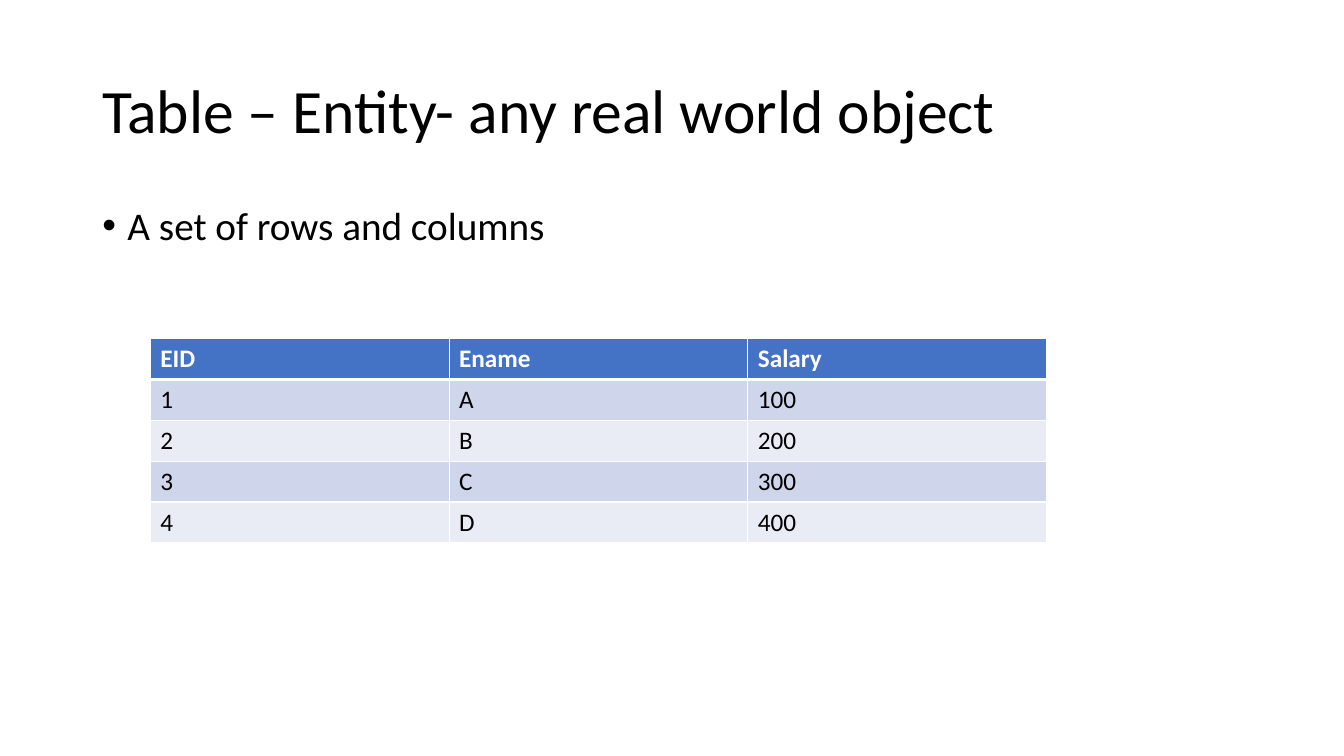
import pptx
import pptx.dml.color
import pptx.enum.text
import pptx.oxml.ns
import pptx.util
from dataclasses import dataclass
from lxml import etree


@dataclass(frozen=True)
class Theme:
    font: str = "Calibri"
    ink: str = "000000"
    paper: str = "FFFFFF"
    header: str = "4472C4"
    bands: tuple = ("CFD5EA", "E9EBF5")
    title_size: int = 44
    body_size: int = 28
    table_size: int = 18
    thin_line: int = 1
    header_line: int = 3


THEME = Theme()
CELL = pptx.util.Inches(1) // 12
GRID_COLUMNS, GRID_ROWS = 160, 90
EMPLOYEES = [
    ("EID", "Ename", "Salary"),
    ("1", "A", "100"),
    ("2", "B", "200"),
    ("3", "C", "300"),
    ("4", "D", "400"),
]


def grid(*counts):
    return [pptx.util.Emu(round(count * CELL)) for count in counts]


def color(value):
    return pptx.dml.color.RGBColor.from_string(value)


def add_element(parent, tag, **attributes):
    return etree.SubElement(parent, pptx.oxml.ns.qn(tag), **attributes)


def write_text(frame, text, size, ink=THEME.ink, bold=False, line_spacing=None, space_before=None):
    paragraph = frame.paragraphs[0]
    if line_spacing is not None:
        paragraph.line_spacing = line_spacing
    if space_before is not None:
        paragraph.space_before = pptx.util.Pt(space_before)
    run = paragraph.add_run()
    run.text = text
    run.font.name = THEME.font
    run.font.size = pptx.util.Pt(size)
    run.font.bold = bold
    run.font.color.rgb = color(ink)
    return paragraph


def add_text(slide, box, text, anchor=pptx.enum.text.MSO_ANCHOR.TOP, **text_format):
    frame = slide.shapes.add_textbox(*grid(*box)).text_frame
    frame.word_wrap = True
    frame.vertical_anchor = anchor
    return write_text(frame, text, line_spacing=0.9, **text_format)


def add_bullet(paragraph, indent):
    properties = paragraph._p.get_or_add_pPr()
    properties.set("marL", str(indent))
    properties.set("indent", str(-indent))
    add_element(properties, "a:buFont", typeface="Arial")
    add_element(properties, "a:buChar", char="•")


def set_borders(cell, top, bottom):
    properties = cell._tc.get_or_add_tcPr()
    widths = {"L": THEME.thin_line, "R": THEME.thin_line, "T": top, "B": bottom}
    for side, width in widths.items():
        line = add_element(properties, f"a:ln{side}", w=str(pptx.util.Pt(width)))
        fill = add_element(line, "a:solidFill")
        add_element(fill, "a:srgbClr", val=THEME.paper)


def format_cell(cell, text, row):
    is_header = row == 0
    set_borders(
        cell,
        top=THEME.header_line if row == 1 else THEME.thin_line,
        bottom=THEME.header_line if is_header else THEME.thin_line,
    )
    cell.fill.solid()
    band = THEME.bands[(row - 1) % len(THEME.bands)]
    cell.fill.fore_color.rgb = color(THEME.header if is_header else band)
    write_text(
        cell.text_frame,
        text,
        size=THEME.table_size,
        ink=THEME.paper if is_header else THEME.ink,
        bold=is_header,
    )


def add_data_table(slide, box, records):
    table = slide.shapes.add_table(len(records), len(records[0]), *grid(*box)).table
    for row, record in enumerate(records):
        for column, text in enumerate(record):
            format_cell(table.cell(row, column), text, row)


def main():
    presentation = pptx.Presentation()
    presentation.slide_width, presentation.slide_height = grid(GRID_COLUMNS, GRID_ROWS)
    slide = presentation.slides.add_slide(presentation.slide_layouts[6])
    add_text(
        slide,
        (11, 4.8, 138, 17.4),
        "Table – Entity- any real world object",
        anchor=pptx.enum.text.MSO_ANCHOR.MIDDLE,
        size=THEME.title_size,
    )
    bullet = add_text(
        slide,
        (11, 24, 138, 57.1),
        "A set of rows and columns",
        size=THEME.body_size,
        space_before=10,
    )
    add_bullet(bullet, indent=3 * CELL)
    add_data_table(slide, (17.9, 40.3, 106.7, 24.35), EMPLOYEES)
    presentation.save("out.pptx")


if __name__ == "__main__":
    main()
